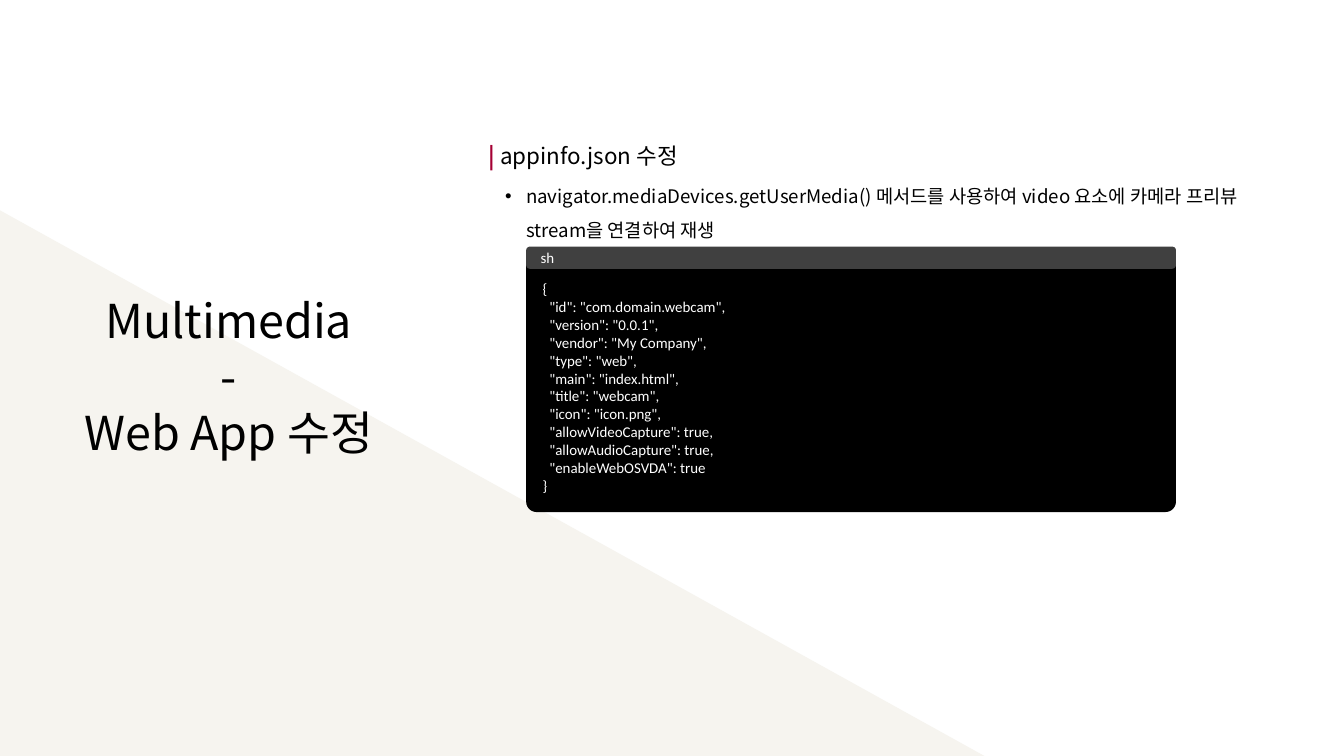
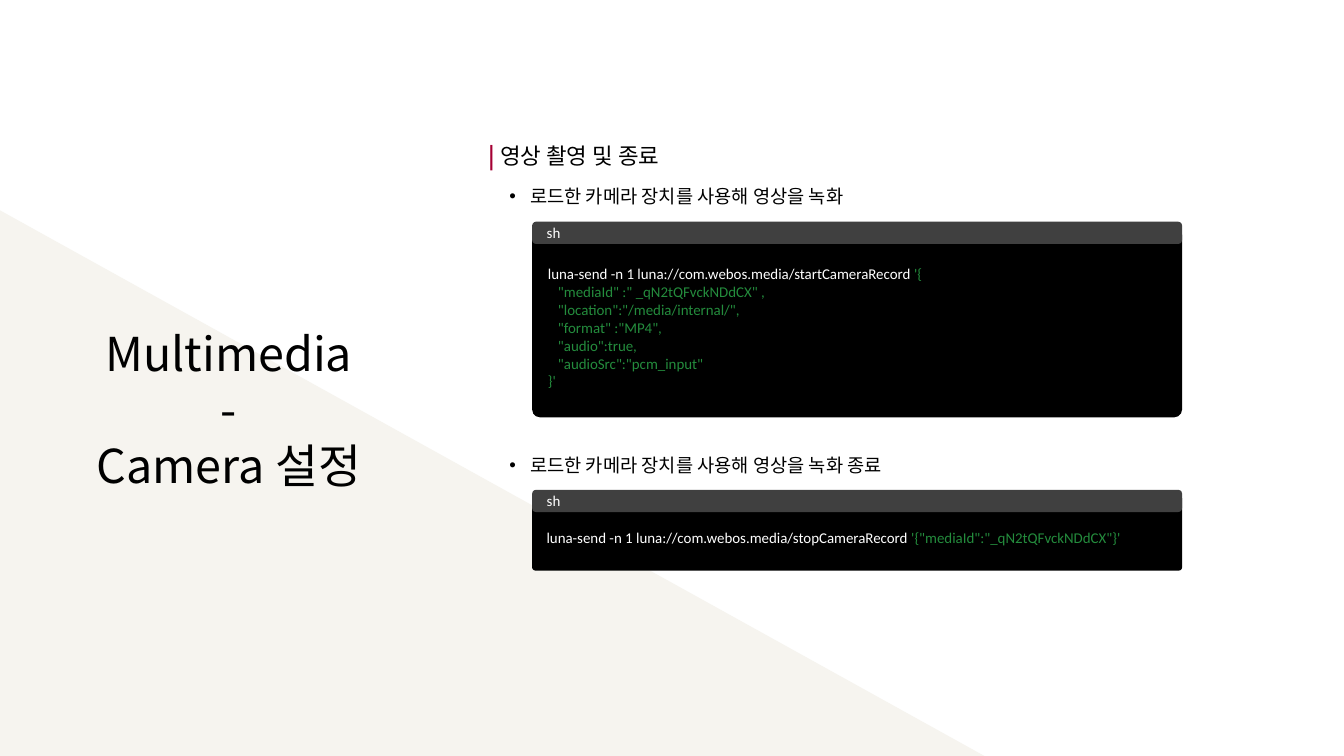
from dataclasses import dataclass

from lxml.etree import SubElement
from pptx import Presentation
from pptx.dml.color import RGBColor
from pptx.enum.shapes import MSO_SHAPE as Preset
from pptx.enum.text import MSO_ANCHOR as Anchor, MSO_AUTO_SIZE as AutoSize, PP_ALIGN as Align
from pptx.oxml.ns import qn
from pptx.util import Inches, Length, Pt

BLACK = RGBColor(0x00, 0x00, 0x00)
WHITE = RGBColor(0xFF, 0xFF, 0xFF)
IVORY = RGBColor(0xF6, 0xF4, 0xEF)
CRIMSON = RGBColor(0xA5, 0x00, 0x34)
GRAPHITE = RGBColor(0x40, 0x40, 0x40)
GREEN = RGBColor(0x24, 0x8C, 0x3D)

BODY_FONT = "Noto Sans CJK KR"
CODE_FONT = "Calibri"

SLIDE_WIDTH, SLIDE_HEIGHT = Inches(20), Inches(11.25)
WEDGE_WIDTH, WEDGE_HEIGHT = Inches(14.65), Inches(8.12)
CODE_WIDTH = Inches(9.67)
TAB_HEIGHT = Inches(0.33)
TAB_RISE = Inches(0.08)
BULLET_INDENT = Inches(0.31)

TITLE_STYLE = {"size": Pt(50), "name": BODY_FONT}
MARKER_STYLE = {"size": Pt(24), "name": BODY_FONT, "bold": True}
HEADING_STYLE = {"size": Pt(24), "name": BODY_FONT, "bold": False}
BULLET_STYLE = {"size": Pt(20), "name": BODY_FONT}
CODE_STYLE = {"size": Pt(16), "name": CODE_FONT}
TAB_INSETS = {"margin_left": Inches(0.2), "margin_right": Inches(0.1),
              "margin_top": Inches(0.05), "margin_bottom": Inches(0.05)}
CODE_INSETS = TAB_INSETS | {"margin_top": Inches(0.39), "margin_bottom": Inches(0.24)}


@dataclass(frozen=True)
class Box:
    left: Length
    top: Length
    width: Length
    height: Length

    def bounds(self) -> tuple:
        return self.left, self.top, self.width, self.height


@dataclass(frozen=True)
class Bullet:
    text: str
    space_before: Length = Pt(0)


@dataclass(frozen=True)
class CodeBlock:
    box: Box
    command: str
    payload: str = ""


@dataclass(frozen=True)
class Lesson:
    topic: str
    title_top: Length
    heading: str
    bullets: list[Bullet]
    bullet_box: Box
    code_blocks: list[CodeBlock]


APPINFO = """{
  "id": "com.domain.webcam",
  "version": "0.0.1",
  "vendor": "My Company",
  "type": "web",
  "main": "index.html",
  "title": "webcam",
  "icon": "icon.png",
  "allowVideoCapture": true,
  "allowAudioCapture": true,
  "enableWebOSVDA": true
}"""

RECORD_PAYLOAD = """ '{
   "mediaId" :" _qN2tQFvckNDdCX" ,
   "location":"/media/internal/",
   "format" :"MP4",
   "audio":true,
   "audioSrc":"pcm_input"
}'"""

LESSONS = [
    Lesson(
        "Web App 수정", Inches(4.29), "appinfo.json 수정",
        [Bullet("navigator.mediaDevices.getUserMedia() 메서드를 사용하여 "
                "video 요소에 카메라 프리뷰 stream을 연결하여 재생")],
        Box(Inches(7.42), Inches(2.54), Inches(11.66), Inches(1.11)),
        [CodeBlock(Box(Inches(7.83), Inches(3.75), CODE_WIDTH, Inches(3.87)), APPINFO)],
    ),
    Lesson(
        "Camera 설정", Inches(4.79), "영상 촬영 및 종료",
        [Bullet("로드한 카메라 장치를 사용해 영상을 녹화"),
         Bullet("로드한 카메라 장치를 사용해 영상을 녹화 종료", Inches(3.5))],
        Box(Inches(7.48), Inches(2.54), Inches(12.02), Inches(8.18)),
        [CodeBlock(Box(Inches(7.92), Inches(3.38), CODE_WIDTH, Inches(2.83)),
                   "luna-send -n 1 luna://com.webos.media/startCameraRecord", RECORD_PAYLOAD),
         CodeBlock(Box(Inches(7.92), Inches(7.37), CODE_WIDTH, Inches(1.12)),
                   "luna-send -n 1 luna://com.webos.media/stopCameraRecord",
                   """ '{"mediaId":"_qN2tQFvckNDdCX"}'""")],
    ),
]


def apply(target, values: dict) -> None:
    for name, value in values.items():
        setattr(target, name, value)


def add_run(paragraph, text: str, style: dict, color: RGBColor) -> None:
    run = paragraph.add_run()
    run.text = text
    apply(run.font, style)
    run.font.color.rgb = color
    # Korean glyphs take the East Asian typeface
    SubElement(run.font._element, qn("a:ea"), typeface=style["name"])


def add_panel(slide, preset: Preset, box: Box, fill: RGBColor, corner: float | None = None):
    panel = slide.shapes.add_shape(preset, *box.bounds())
    panel.shadow.inherit = False
    panel.fill.solid()
    panel.fill.fore_color.rgb = fill
    panel.line.fill.background()
    if corner is not None:
        panel.adjustments[0] = corner
    return panel


def add_text_frame(slide, box: Box):
    frame = slide.shapes.add_textbox(*box.bounds()).text_frame
    frame.word_wrap = True
    return frame


def add_wedge(slide) -> None:
    box = Box(Inches(0), SLIDE_HEIGHT - WEDGE_HEIGHT, WEDGE_WIDTH, WEDGE_HEIGHT)
    wedge = add_panel(slide, Preset.ISOSCELES_TRIANGLE, box, IVORY, 0)
    # Keep the wedge behind the title
    slide.shapes._spTree.insert(2, wedge._element)


def add_title(slide, topic: str, top: Length) -> None:
    title = slide.shapes.title
    apply(title, {"left": Inches(1.03), "top": top,
                  "width": Inches(4.75), "height": Inches(2.63)})
    frame = title.text_frame
    apply(frame, {"word_wrap": True, "auto_size": AutoSize.NONE,
                  "vertical_anchor": Anchor.TOP})
    for index, line in enumerate(("Multimedia", "-", topic)):
        paragraph = frame.add_paragraph() if index else frame.paragraphs[0]
        paragraph.alignment = Align.CENTER
        add_run(paragraph, line, TITLE_STYLE, BLACK)


def add_heading(slide, heading: str) -> None:
    box = Box(Inches(7.17), Inches(2.07), Inches(9), Inches(0.5))
    paragraph = add_text_frame(slide, box).paragraphs[0]
    add_run(paragraph, "| ", MARKER_STYLE, CRIMSON)
    add_run(paragraph, heading, HEADING_STYLE, BLACK)


def add_bullets(slide, bullets: list[Bullet], box: Box) -> None:
    frame = add_text_frame(slide, box)
    for index, bullet in enumerate(bullets):
        paragraph = frame.add_paragraph() if index else frame.paragraphs[0]
        properties = paragraph._p.get_or_add_pPr()
        properties.set("marL", str(BULLET_INDENT))
        properties.set("indent", str(-BULLET_INDENT))
        SubElement(properties, qn("a:buFont"), typeface="Arial")
        SubElement(properties, qn("a:buChar"), char="•")
        paragraph.line_spacing = 1.5
        if index:
            paragraph.space_before = bullet.space_before
        add_run(paragraph, bullet.text, BULLET_STYLE, BLACK)


def write_code(panel, pieces: list[tuple[str, RGBColor]], insets: dict) -> None:
    frame = panel.text_frame
    apply(frame, insets | {"word_wrap": True, "vertical_anchor": Anchor.MIDDLE})
    paragraph = frame.paragraphs[0]
    paragraph.alignment = Align.LEFT
    for text, color in pieces:
        for index, line in enumerate(text.split("\n")):
            if index:
                paragraph = frame.add_paragraph()
                paragraph.alignment = Align.LEFT
            if line:
                add_run(paragraph, line, CODE_STYLE, color)


def add_code_block(slide, block: CodeBlock) -> None:
    body = add_panel(slide, Preset.ROUNDED_RECTANGLE, block.box, BLACK, 0.04)
    write_code(body, [(block.command, WHITE), (block.payload, GREEN)], CODE_INSETS)
    tab_box = Box(block.box.left, block.box.top - TAB_RISE, block.box.width, TAB_HEIGHT)
    tab = add_panel(slide, Preset.ROUNDED_RECTANGLE, tab_box, GRAPHITE)
    write_code(tab, [("sh", WHITE)], TAB_INSETS)


def add_lesson(deck, lesson: Lesson) -> None:
    slide = deck.slides.add_slide(deck.slide_layouts[5])
    add_wedge(slide)
    add_title(slide, lesson.topic, lesson.title_top)
    add_heading(slide, lesson.heading)
    add_bullets(slide, lesson.bullets, lesson.bullet_box)
    for block in lesson.code_blocks:
        add_code_block(slide, block)


def main() -> None:
    deck = Presentation()
    apply(deck, {"slide_width": SLIDE_WIDTH, "slide_height": SLIDE_HEIGHT})
    for lesson in LESSONS:
        add_lesson(deck, lesson)
    deck.save("out.pptx")


if __name__ == "__main__":
    main()
